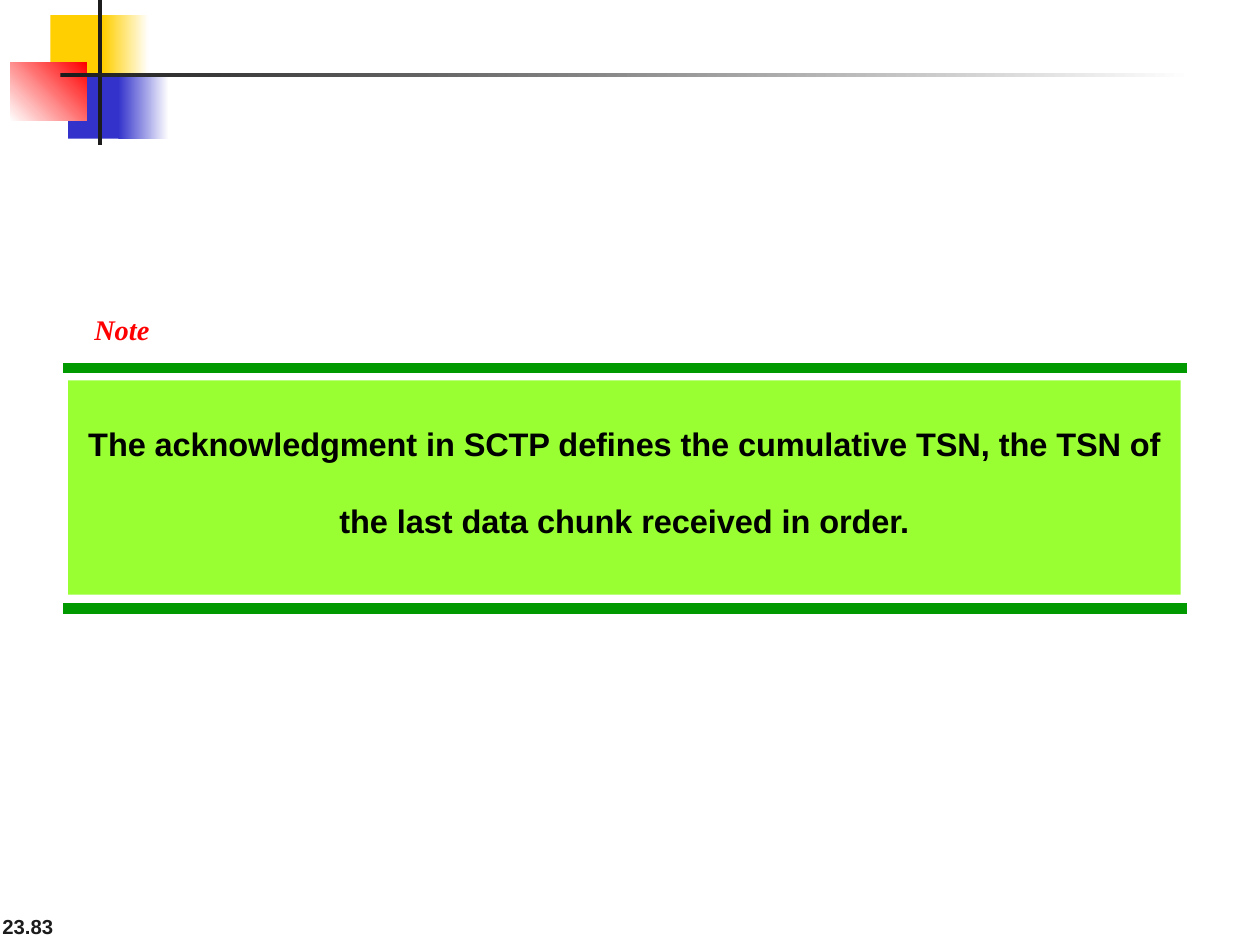
from dataclasses import dataclass

import pptx
import pptx.dml.color
import pptx.enum.shapes
import pptx.enum.text
import pptx.oxml.ns
import pptx.util
from lxml import etree

Inches = pptx.util.Inches
COLORS = {
    "white": "FFFFFF", "black": "000000", "ink": "1C1C1C", "yellow": "FFCF01",
    "blue": "3333CC", "red": "FF0000", "rule": "009900", "panel": "99FF33",
}
SUBSCRIPT = "-25000"  # all text on the slide is lowered and reduced


@dataclass
class Block:
    left: float
    top: float
    width: float
    height: float
    color: str
    fade_to: str | None = None
    angle: float = 0  # counter-clockwise


@dataclass
class TextStyle:
    size: float
    color: str
    font: str = "Arial"
    italic: bool = False


def rgb(name: str) -> pptx.dml.color.RGBColor:
    return pptx.dml.color.RGBColor.from_string(COLORS[name])


def add_block(slide, block: Block):
    shape = slide.shapes.add_shape(
        pptx.enum.shapes.MSO_SHAPE.RECTANGLE, Inches(block.left),
        Inches(block.top), Inches(block.width), Inches(block.height))
    shape.shadow.inherit = False
    shape.line.fill.background()
    if block.fade_to is None:
        shape.fill.solid()
        shape.fill.fore_color.rgb = rgb(block.color)
    else:
        shape.fill.gradient()
        shape.fill.gradient_angle = block.angle
        stops = shape.fill.gradient_stops
        for stop, position, name in zip(stops, (0, 1), (block.color, block.fade_to)):
            stop.position = position
            stop.color.rgb = rgb(name)
    return shape


def add_rule(slide, left: float, right: float, y: float) -> None:
    rule = slide.shapes.add_connector(
        pptx.enum.shapes.MSO_CONNECTOR.STRAIGHT,
        Inches(left), Inches(y), Inches(right), Inches(y))
    rule.line.color.rgb = rgb("rule")
    rule.line.width = pptx.util.Pt(6)
    etree.SubElement(rule._element.spPr, pptx.oxml.ns.qn("a:effectLst"))


def write(shape, text: str, style: TextStyle, align: str = "LEFT",
          anchor: str = "TOP", wrap: bool = True) -> None:
    frame = shape.text_frame
    frame.word_wrap = wrap
    frame.vertical_anchor = pptx.enum.text.MSO_ANCHOR[anchor]
    paragraph = frame.paragraphs[0]
    paragraph.alignment = pptx.enum.text.PP_ALIGN[align]
    run = paragraph.add_run()
    run.text = text
    run.font.name = style.font
    run.font.size = pptx.util.Pt(style.size)
    run.font.bold = True
    run.font.italic = style.italic
    run.font.color.rgb = rgb(style.color)
    run.font._element.set("baseline", SUBSCRIPT)


def add_text(slide, left: float, top: float, width: float, height: float):
    return slide.shapes.add_textbox(
        Inches(left), Inches(top), Inches(width), Inches(height))


def main() -> None:
    presentation = pptx.Presentation()
    presentation.slide_width = Inches(10)
    presentation.slide_height = Inches(7.5)
    slide = presentation.slides.add_slide(presentation.slide_layouts[6])

    # Page number
    number = add_text(slide, -0.08, 7, 2.08, 0.5)
    write(number, "23.83", TextStyle(20, "ink"), anchor="BOTTOM")

    # Corner ornament with its two bars
    for block in (
        Block(0.4, 0.12, 0.48, 0.52, "yellow"),
        Block(0.82, 0.12, 0.36, 0.52, "yellow", "white"),
        Block(0.54, 0.58, 0.46, 0.52, "blue"),
        Block(0.94, 0.58, 0.4, 0.52, "blue", "white"),
        Block(0.08, 0.5, 0.61, 0.46, "white", "red", 45),
        Block(0.78, 0, 0.03, 1.15, "ink"),
        Block(0.48, 0.58, 9, 0.03, "ink", "white"),
    ):
        add_block(slide, block)

    # Note panel between two rules
    for y in (2.92, 4.83):
        add_rule(slide, 0.5, 9.42, y)
    panel = add_block(slide, Block(0.54, 3.02, 8.83, 1.7, "panel"))
    write(panel, "The acknowledgment in SCTP defines the cumulative TSN, "
                 "the TSN of the last data chunk received in order.",
          TextStyle(32, "black"), align="CENTER")

    # Note label
    label = add_text(slide, 0.65, 2.17, 0.96, 0.57)
    write(label, "Note", TextStyle(28, "red", "Times New Roman", True), wrap=False)

    presentation.save("out.pptx")


if __name__ == "__main__":
    main()
